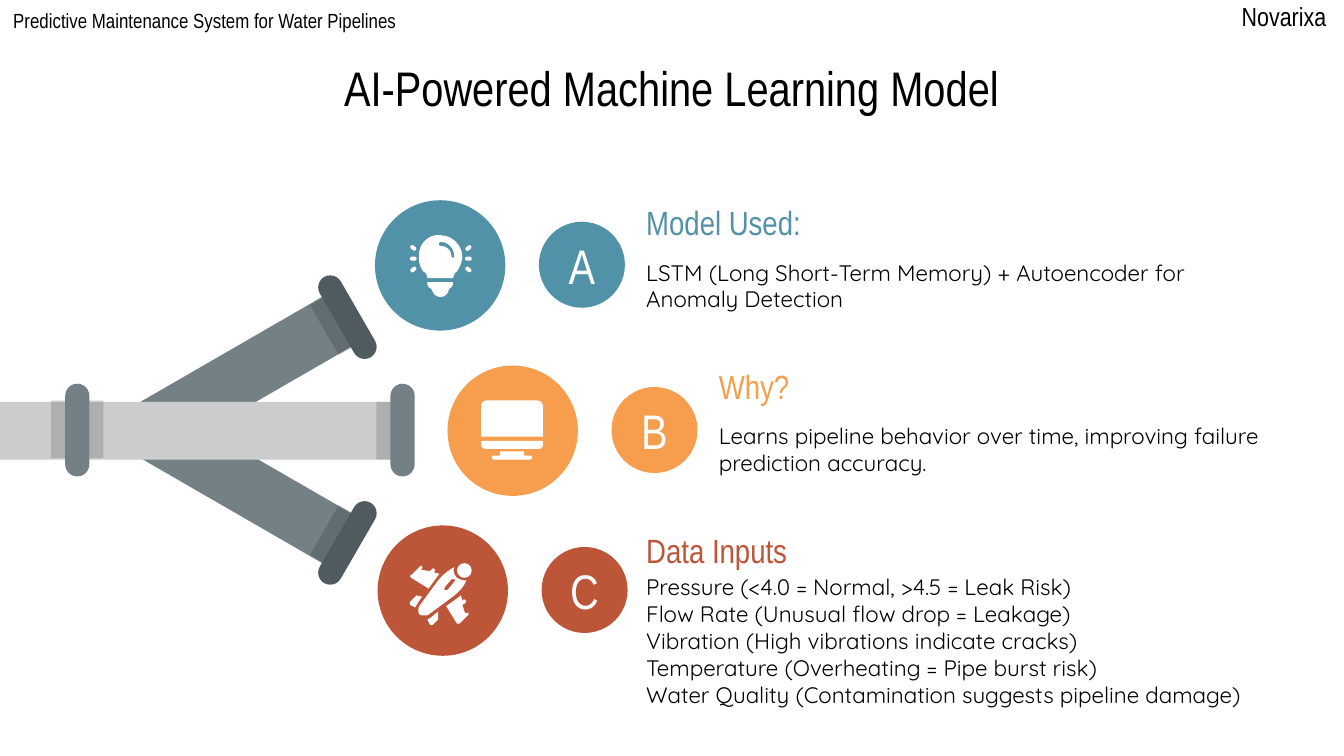
from lxml import etree
from pptx import Presentation
from pptx.dml.color import RGBColor
from pptx.enum.shapes import MSO_SHAPE
from pptx.enum.text import MSO_ANCHOR, MSO_AUTO_SIZE, PP_ALIGN
from pptx.oxml.ns import qn
from pptx.util import Inches, Pt

RECT, ROUND, OVAL = MSO_SHAPE.RECTANGLE, MSO_SHAPE.ROUNDED_RECTANGLE, MSO_SHAPE.OVAL
ROUND_TOP = MSO_SHAPE.ROUND_2_SAME_RECTANGLE
LEFT, CENTER = PP_ALIGN.LEFT, PP_ALIGN.CENTER
MIDDLE, NO_FIT = MSO_ANCHOR.MIDDLE, MSO_AUTO_SIZE.NONE
NARROW, BODY_FONT = "Arial Narrow", "Quicksand"
BLACK, WHITE = "000000", "FFFFFF"
BLUE, ORANGE, RED = "5192A9", "F69E4E", "BD5538"
STEEL, DARK_STEEL, SILVER = "738086", "505B60", "CACCCE"


def paint(shape, color, opacity=100):
    """Give a shape a plain fill without outline or shadow."""
    shape.shadow.inherit = False
    shape.line.fill.background()
    shape.fill.solid()
    shape.fill.fore_color.rgb = RGBColor.from_string(color)
    if opacity < 100:
        fill_color = shape._element.spPr.find(".//" + qn("a:srgbClr"))
        etree.SubElement(fill_color, qn("a:alpha"), val=str(opacity * 1000))


def write(shape, text, size, font, color, align=LEFT):
    """Set and format the text of a shape."""
    frame = shape.text_frame
    frame.text = text
    frame.word_wrap = True
    frame.auto_size = NO_FIT
    frame.vertical_anchor = MIDDLE
    frame.margin_left = frame.margin_right = Inches(0.1)
    frame.margin_top = frame.margin_bottom = Inches(0.1)
    for para in frame.paragraphs:
        para.alignment = align
        for span in para.runs:
            span.font.size = Pt(size)
            span.font.name = font
            span.font.color.rgb = RGBColor.from_string(color)


# Widescreen page, 16 to 9
deck = Presentation()
deck.slide_width = Inches(10)
deck.slide_height = Inches(10) * 9 // 16
slide = deck.slides.add_slide(deck.slide_layouts[5])
shapes = slide.shapes

# Title
title = shapes.title
title.left, title.top = Inches(0.45), Inches(0.33)
title.width, title.height = Inches(9.1), Inches(0.63)
write(title, "AI-Powered Machine Learning Model", 26, NARROW, BLACK, CENTER)

# Pipes: the lower branch mirrors the upper one about the main pipe
upper_branch = [
    (RECT, 1.65, 1.93, 0.43, 1.67, 60, STEEL, 100),
    (RECT, 2.29, 2.3, 0.43, 0.21, 240, BLACK, 14),
    (ROUND, 2.24, 2.27, 0.69, 0.18, 60, DARK_STEEL, 100),
]
lower_branch = [
    (kind, left, 6.4 - top - height, width, height, (180 - turn) % 360, color, opacity)
    for kind, left, top, width, height, turn, color, opacity in upper_branch
]
main_pipe = [
    (RECT, 1.29, 1.7, 0.43, 3.01, 90, SILVER, 100),
    (RECT, 2.69, 3.1, 0.43, 0.21, 270, BLACK, 14),
    (ROUND, 2.65, 3.11, 0.69, 0.18, 90, STEEL, 100),
    (RECT, 0.36, 3, 0.43, 0.39, 90, BLACK, 14),
    (ROUND, 0.23, 3.11, 0.69, 0.18, 270, STEEL, 100),
]
for kind, left, top, width, height, turn, color, opacity in upper_branch + lower_branch + main_pipe:
    part = shapes.add_shape(kind, Inches(left), Inches(top), Inches(width), Inches(height))
    part.rotation = turn
    if kind == ROUND:
        part.adjustments[0] = 0.5
    paint(part, color, opacity)

# Items: icon disc, letter disc, heading and body
items = [
    ("A", BLUE, 2.79, 1.49, 4.71, 1.47, 1.81, 4.25, "Model Used:",
     "LSTM (Long Short-Term Memory) + Autoencoder for Anomaly Detection"),
    ("B", ORANGE, 3.33, 2.72, 5.25, 2.69, 3.03, 4.25, "Why?",
     "Learns pipeline behavior over time, improving failure prediction accuracy."),
    ("C", RED, 2.81, 3.91, 4.71, 3.91, 4.45, 5.77, "Data Inputs",
     "Pressure (<4.0 = Normal, >4.5 = Leak Risk)\n"
     "Flow Rate (Unusual flow drop = Leakage)\n"
     "Vibration (High vibrations indicate cracks)\n"
     "Temperature (Overheating = Pipe burst risk)\n"
     "Water Quality (Contamination suggests pipeline damage)"),
]
for letter, color, left, top, text_left, head_top, body_top, body_width, heading, body in items:
    letter_disc = shapes.add_shape(
        OVAL, Inches(left + 1.22), Inches(top + 0.16), Inches(0.64), Inches(0.64))
    paint(letter_disc, color)
    write(letter_disc, letter, 26, NARROW, WHITE, CENTER)
    head_box = shapes.add_textbox(
        Inches(text_left), Inches(head_top), Inches(4.25), Inches(0.37))
    write(head_box, heading, 18, NARROW, color)
    body_box = shapes.add_textbox(
        Inches(text_left), Inches(body_top), Inches(body_width), Inches(0.63))
    write(body_box, body, 12, BODY_FONT, BLACK)
    icon_disc = shapes.add_shape(OVAL, Inches(left), Inches(top), Inches(0.97), Inches(0.97))
    paint(icon_disc, color)

# Icon parts from preset shapes: bulb rays, monitor, plane nose
rays = [(ROUND, left, top, 0.05, 0.03, turn, 0.5) for left, top, turn in [
    (3.05, 1.83, 40), (3.05, 1.91, 0), (3.05, 1.99, 140),
    (3.46, 1.83, 140), (3.46, 1.91, 0), (3.46, 1.99, 40)]]
monitor = [
    (ROUND_TOP, 3.58, 2.98, 0.46, 0.27, 0, 0.15),
    (ROUND_TOP, 3.58, 3.28, 0.46, 0.06, 180, 0.5),
    (RECT, 3.72, 3.36, 0.18, 0.04, 0, None),
    (ROUND, 3.66, 3.39, 0.3, 0.03, 0, 0.5),
]
nose = [(OVAL, 3.4, 4.19, 0.11, 0.11, 0, None)]
for kind, left, top, width, height, turn, rounding in rays + monitor + nose:
    part = shapes.add_shape(kind, Inches(left), Inches(top), Inches(width), Inches(height))
    part.rotation = turn
    if rounding is not None:
        part.adjustments[0] = rounding
    paint(part, WHITE)

# Icon outlines: each contour lists corners (x, y) and Bezier curves (six numbers)
bulb_glass = [
    [(3.28, 1.75), (3.26, 1.75, 3.25, 1.75, 3.24, 1.75), (3.18, 1.76, 3.13, 1.81, 3.12, 1.87),
     (3.11, 1.93, 3.12, 1.98, 3.15, 2.02), (3.17, 2.03, 3.18, 2.05, 3.18, 2.07), (3.37, 2.07),
     (3.38, 2.05, 3.38, 2.03, 3.4, 2.02), (3.42, 1.99, 3.44, 1.95, 3.44, 1.91),
     (3.44, 1.82, 3.36, 1.75, 3.28, 1.75)],
    [(3.28, 1.8), (3.34, 1.8, 3.38, 1.85, 3.38, 1.91), (3.38, 1.92, 3.36, 1.92, 3.36, 1.91),
     (3.36, 1.86, 3.32, 1.83, 3.28, 1.83), (3.26, 1.83, 3.26, 1.8, 3.28, 1.8)],
]
bulb_base = [[
    (3.18, 2.1), (3.18, 2.11), (3.18, 2.13, 3.19, 2.14, 3.21, 2.15),
    (3.22, 2.18, 3.24, 2.21, 3.28, 2.21), (3.31, 2.21, 3.34, 2.18, 3.34, 2.15),
    (3.36, 2.14, 3.37, 2.13, 3.37, 2.11), (3.37, 2.1)]]
plane_body = [
    [(3.38, 4.22), (3.33, 4.25, 3.29, 4.28, 3.26, 4.32), (3.12, 4.51),
     (3.11, 4.53, 3.11, 4.56, 3.12, 4.57), (3.13, 4.58, 3.14, 4.58, 3.16, 4.58), (3.18, 4.58),
     (3.37, 4.44), (3.41, 4.41, 3.45, 4.37, 3.47, 4.32), (3.44, 4.32, 3.42, 4.31, 3.4, 4.3),
     (3.38, 4.28, 3.37, 4.25, 3.38, 4.22)],
    [(3.37, 4.31), (3.39, 4.31, 3.39, 4.32, 3.38, 4.33), (3.33, 4.39),
     (3.31, 4.4, 3.3, 4.38, 3.31, 4.37), (3.36, 4.31)],
]
right_wing = [[
    (3.43, 4.43), (3.39, 4.46), (3.32, 4.51), (3.4, 4.64), (3.42, 4.64), (3.48, 4.58),
    (3.49, 4.57, 3.49, 4.56, 3.48, 4.56), (3.46, 4.56), (3.44, 4.5), (3.46, 4.49),
    (3.47, 4.48, 3.47, 4.46, 3.45, 4.46), (3.44, 4.47)]]
left_wing = [[
    (3.13, 4.21), (3.12, 4.22), (3.06, 4.28), (3.05, 4.28, 3.05, 4.29, 3.06, 4.3), (3.19, 4.38),
    (3.24, 4.31), (3.27, 4.27), (3.23, 4.26), (3.24, 4.25, 3.24, 4.23, 3.22, 4.23),
    (3.2, 4.25), (3.13, 4.24), (3.14, 4.23), (3.15, 4.22, 3.14, 4.21, 3.13, 4.21)]]
left_tail = [[(3.1, 4.43), (3.09, 4.44), (3.05, 4.48), (3.05, 4.5), (3.09, 4.52),
              (3.1, 4.5), (3.14, 4.44)]]
right_tail = [[(3.26, 4.55), (3.2, 4.6), (3.18, 4.61), (3.2, 4.65), (3.22, 4.65),
               (3.26, 4.61)]]
STEPS = 6
for outline in [bulb_glass, bulb_base, left_tail, right_wing, left_wing, right_tail, plane_body]:
    builder = None
    for contour in outline:
        points = [contour[0]]
        for segment in contour[1:]:
            if len(segment) == 2:
                points.append(segment)
                continue
            x0, y0 = points[-1]
            x1, y1, x2, y2, x3, y3 = segment
            for step in range(1, STEPS + 1):
                t = step / STEPS
                a, b, c, d = (1 - t) ** 3, 3 * t * (1 - t) ** 2, 3 * t * t * (1 - t), t ** 3
                points.append((a * x0 + b * x1 + c * x2 + d * x3,
                               a * y0 + b * y1 + c * y2 + d * y3))
        points = [(Inches(x), Inches(y)) for x, y in points]
        if builder is None:
            builder = shapes.build_freeform(*points[0])
        else:
            builder.move_to(*points[0])
        builder.add_line_segments(points[1:], close=True)
    paint(builder.convert_to_shape(), WHITE)

# Page header
for left, top, width, height, text, size in [
    (0, 0.03, 4.19, 0.24, "Predictive Maintenance System for Water Pipelines", 11),
    (9.14, 0.04, 1.13, 0.16, "Novarixa", 14),
]:
    header = shapes.add_textbox(Inches(left), Inches(top), Inches(width), Inches(height))
    write(header, text, size, NARROW, BLACK)

deck.save("out.pptx")
